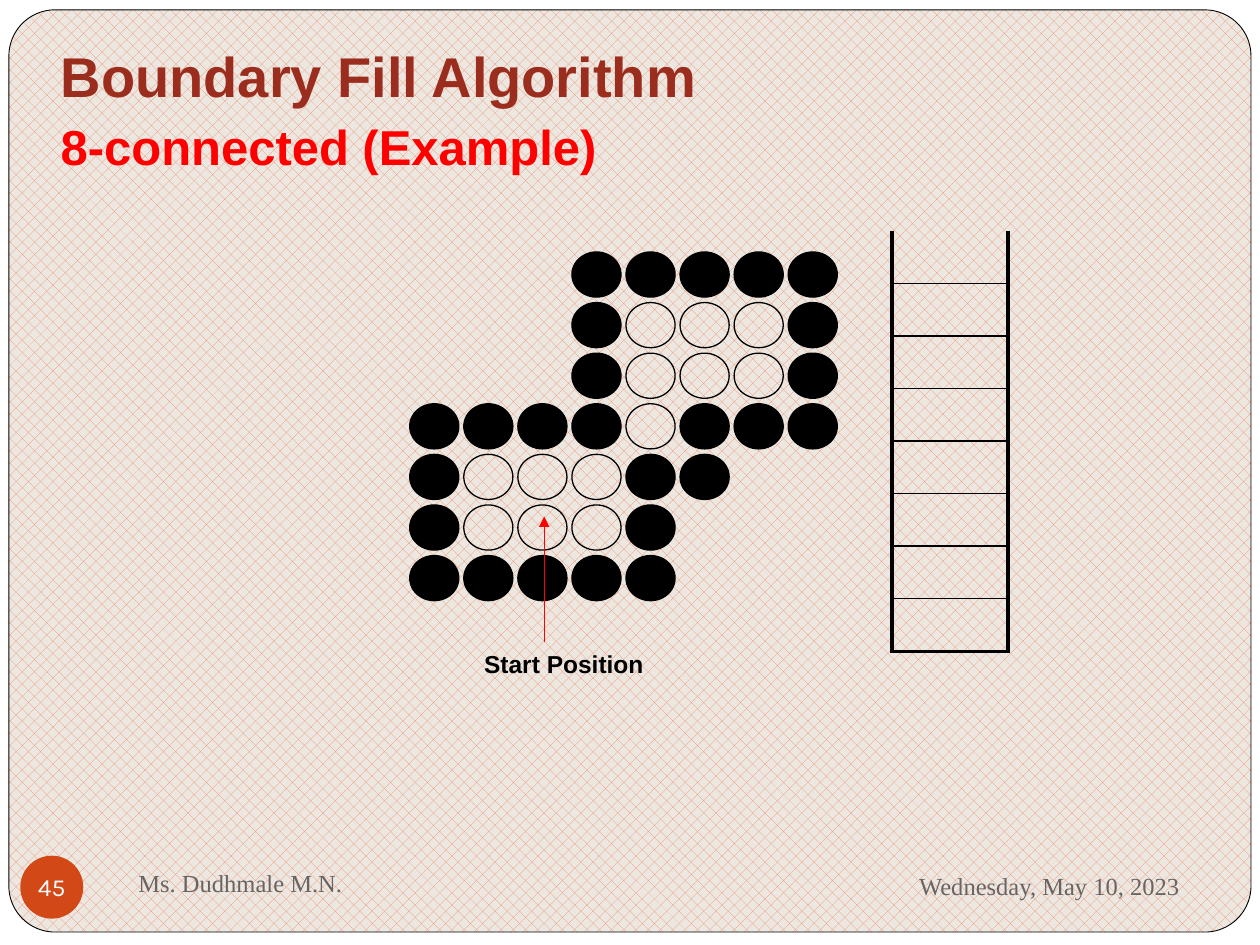
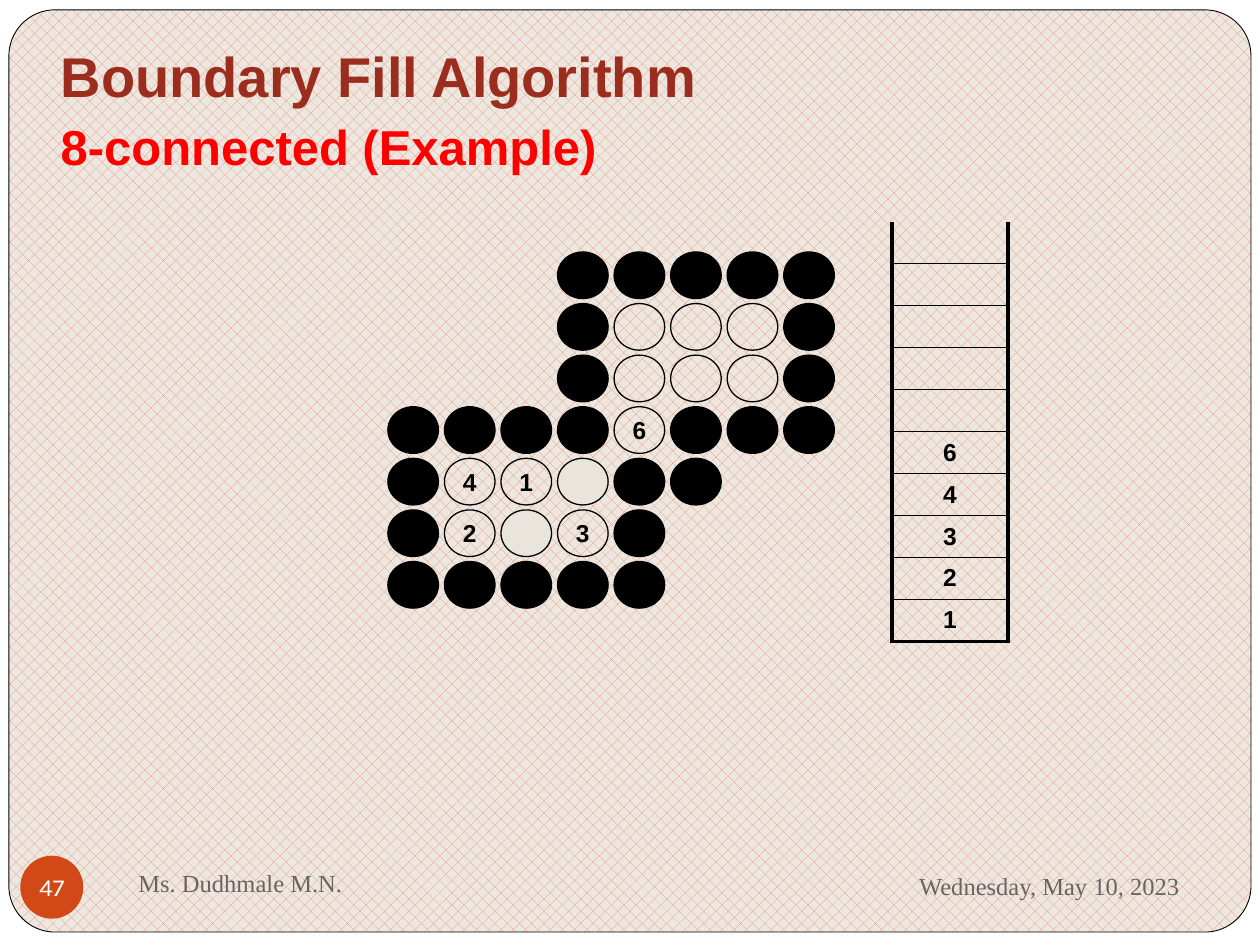
from dataclasses import dataclass
from typing import Any, Optional

from lxml.etree import SubElement
from pptx import Presentation
from pptx.dml.color import RGBColor
from pptx.enum.dml import MSO_PATTERN
from pptx.enum.shapes import MSO_CONNECTOR, MSO_SHAPE
from pptx.enum.text import MSO_ANCHOR, MSO_AUTO_SIZE, PP_ALIGN
from pptx.oxml import parse_xml
from pptx.oxml.ns import nsdecls, qn
from pptx.util import Cm, Pt


@dataclass(frozen=True)
class Theme:
    paper: str = "ECE8E1"
    hatch: str = "EF8C6A"
    white: str = "FFFFFF"
    black: str = "000000"
    heading: str = "9B2D1F"
    accent: str = "FF0000"
    badge: str = "D34817"
    footer: str = "696464"
    visited: str = "E9E5DC"
    title_size: int = 32
    subtitle_size: int = 28
    text_size: int = 14
    sans: str = "Arial"
    serif: str = "Times New Roman"
    number: str = "Karla"
    thin: float = 0.75
    rule: float = 1
    thick: float = 2.25


@dataclass(frozen=True)
class Box:
    left: float
    top: float
    width: float
    height: float

    def lengths(self) -> tuple:
        return tuple(Cm(value) for value in (self.left, self.top, self.width, self.height))


@dataclass(frozen=True)
class PixelGrid:
    first: Box
    column_step: float
    row_step: float
    rows: tuple[str, ...]


@dataclass(frozen=True)
class Stack:
    box: Box
    values: tuple[str, ...]


@dataclass(frozen=True)
class Example:
    number: str
    grid: PixelGrid
    stack: Stack
    show_start: bool = False


THEME = Theme()
BOUNDARY, EMPTY, VISITED, OUTSIDE = "#o*."
NO_STYLE_TABLE = "{2D5ABB26-0587-4C30-8999-92F81FD0307C}"
NO_MARGINS = dict.fromkeys(("margin_left", "margin_top", "margin_right", "margin_bottom"), 0)
PLAIN = {"name": THEME.sans, "size": Pt(THEME.text_size), "bold": True}
FOOTER = {**PLAIN, "name": THEME.serif, "bold": False}
BADGE = {**PLAIN, "name": THEME.number, "bold": False}

UPPER_ROWS = ("...#####", "...#ooo#", "...#ooo#")
EXAMPLES = (
    Example(
        "45",
        PixelGrid(Box(8.26, 5.08, 0.99, 0.91), 1.09, 1.02,
                  UPPER_ROWS + ("####o###", "#ooo##..", "#ooo#...", "#####...")),
        Stack(Box(17.98, 4.65, 2.34, 8.48), ("",) * 8),
        show_start=True,
    ),
    Example(
        "47",
        PixelGrid(Box(7.82, 5.08, 1.02, 0.94), 1.14, 1.04,
                  UPPER_ROWS + ("####6###", "#41*##..", "#2*3#...", "#####...")),
        Stack(Box(17.98, 4.47, 2.34, 8.46), ("",) * 5 + tuple("64321")),
    ),
)


def apply(target: Any, values: dict[str, Any]) -> None:
    for name, value in values.items():
        setattr(target, name, value)


def add_text(paragraph: Any, text: str, font: dict[str, Any], color: str,
             alignment: PP_ALIGN = PP_ALIGN.CENTER) -> None:
    paragraph.alignment = alignment
    run = paragraph.add_run()
    run.text = text
    apply(run.font, font)
    run.font.color.rgb = RGBColor.from_string(color)


def add_textbox(shapes: Any, box: Box, text: str, font: dict[str, Any], color: str,
                alignment: PP_ALIGN, anchor: MSO_ANCHOR = MSO_ANCHOR.MIDDLE) -> None:
    frame = shapes.add_textbox(*box.lengths()).text_frame
    apply(frame, {"word_wrap": True, "vertical_anchor": anchor})
    add_text(frame.paragraphs[0], text, font, color, alignment)


def add_filled(shapes: Any, kind: MSO_SHAPE, box: Box, fill: Optional[str],
               line: Optional[float] = None) -> Any:
    shape = shapes.add_shape(kind, *box.lengths())
    shape.shadow.inherit = False
    if fill:
        shape.fill.solid()
        shape.fill.fore_color.rgb = RGBColor.from_string(fill)
    else:
        shape.fill.background()
    if line:
        shape.line.color.rgb = RGBColor.from_string(THEME.black)
        shape.line.width = Pt(line)
    else:
        shape.line.fill.background()
    return shape


def label_circle(circle: Any, text: str, font: dict[str, Any], color: str) -> None:
    frame = circle.text_frame
    apply(frame, {**NO_MARGINS, "word_wrap": False, "vertical_anchor": MSO_ANCHOR.MIDDLE})
    add_text(frame.paragraphs[0], text, font, color)


def hatch(fill: Any) -> None:
    fill.patterned()
    fill.pattern = MSO_PATTERN.PERCENT_30
    fill.fore_color.rgb = RGBColor.from_string(THEME.hatch)
    fill.back_color.rgb = RGBColor.from_string(THEME.paper)


def decorate_layout(layout: Any, slide: Any) -> None:
    hatch(layout.background.fill)
    page = add_filled(slide.shapes, MSO_SHAPE.RECTANGLE, Box(0, 0, 25.4, 19.05), THEME.white)
    card = add_filled(slide.shapes, MSO_SHAPE.ROUNDED_RECTANGLE,
                      Box(0.18, 0.2, 25.04, 18.59), None, 0.5)
    card.adjustments[0] = 0.05
    hatch(card.fill)
    for index, shape in enumerate((page, card), start=2):
        layout.shapes._spTree.insert(index, shape._element)


def add_title(slide: Any) -> None:
    title = slide.shapes.title
    apply(title, dict(zip(("left", "top", "width", "height"),
                          Box(0.97, 0.64, 23.5, 2.97).lengths())))
    frame = title.text_frame
    apply(frame, {"auto_size": MSO_AUTO_SIZE.NONE, "word_wrap": True,
                  "vertical_anchor": MSO_ANCHOR.TOP})
    heading, subtitle = frame.paragraphs[0], frame.add_paragraph()
    lines = (
        (heading, "Boundary Fill Algorithm", THEME.title_size, THEME.heading),
        (subtitle, "8-connected (Example)", THEME.subtitle_size, THEME.accent),
    )
    for paragraph, text, size, color in lines:
        paragraph.line_spacing = 1.05
        add_text(paragraph, text, {**PLAIN, "size": Pt(size)}, color, PP_ALIGN.LEFT)
    subtitle.space_before = Pt(3)


def add_footers(slide: Any, number: str) -> None:
    add_textbox(slide.shapes, Box(2.54, 17.15, 11, 1.27), "Ms. Dudhmale M.N.",
                FOOTER, THEME.footer, PP_ALIGN.LEFT)
    add_textbox(slide.shapes, Box(17.15, 17.2, 6.88, 1.32), "Wednesday, May 10, 2023",
                FOOTER, THEME.footer, PP_ALIGN.RIGHT)
    badge = add_filled(slide.shapes, MSO_SHAPE.OVAL, Box(0.41, 17.25, 1.27, 1.27), THEME.badge)
    label_circle(badge, number, BADGE, THEME.white)


def set_borders(cell: Any, widths: dict[str, float]) -> None:
    properties = cell._tc.get_or_add_tcPr()
    for index, (side, width) in enumerate(widths.items()):
        paint = (f'<a:solidFill><a:srgbClr val="{THEME.black}"/></a:solidFill>'
                 if width else "<a:noFill/>")
        properties.insert(index, parse_xml(
            f'<a:ln{side} {nsdecls("a")} w="{Pt(width)}">{paint}</a:ln{side}>'))


def add_stack(slide: Any, stack: Stack) -> None:
    count = len(stack.values)
    table = slide.shapes.add_table(count, 1, *stack.box.lengths()).table
    apply(table, {"first_row": False, "horz_banding": False})
    table._tbl.tblPr.find(qn("a:tableStyleId")).text = NO_STYLE_TABLE
    for index, value in enumerate(stack.values):
        table.rows[index].height = Cm(stack.box.height / count)
        cell = table.cell(index, 0)
        apply(cell, {**NO_MARGINS, "vertical_anchor": MSO_ANCHOR.MIDDLE})
        cell.fill.background()
        set_borders(cell, {
            "L": THEME.thick,
            "R": THEME.thick,
            "T": THEME.rule if index else 0,
            "B": THEME.thick if index == count - 1 else THEME.rule,
        })
        if value:
            add_text(cell.text_frame.paragraphs[0], value, PLAIN, THEME.black)


def add_pixels(shapes: Any, grid: PixelGrid) -> None:
    fills = {BOUNDARY: THEME.black, VISITED: THEME.visited}
    first = grid.first
    for row, marks in enumerate(grid.rows):
        for column, mark in enumerate(marks):
            if mark == OUTSIDE:
                continue
            box = Box(first.left + column * grid.column_step,
                      first.top + row * grid.row_step, first.width, first.height)
            pixel = add_filled(shapes, MSO_SHAPE.OVAL, box, fills.get(mark), THEME.thin)
            if mark.isdigit():
                label_circle(pixel, mark, PLAIN, THEME.black)


def add_start_marker(shapes: Any) -> None:
    add_textbox(shapes, Box(8.79, 12.95, 5.16, 1.02), "Start Position",
                PLAIN, THEME.black, PP_ALIGN.CENTER, MSO_ANCHOR.TOP)
    arrow = shapes.add_connector(MSO_CONNECTOR.STRAIGHT,
                                 Cm(10.97), Cm(12.95), Cm(10.97), Cm(10.41))
    arrow.line.color.rgb = RGBColor.from_string(THEME.accent)
    arrow.line.width = Pt(THEME.thin)
    SubElement(arrow.line._get_or_add_ln(), qn("a:tailEnd"), type="triangle")
    SubElement(arrow._element.spPr, qn("a:effectLst"))


def add_example(slide: Any, example: Example) -> None:
    add_title(slide)
    add_footers(slide, example.number)
    add_stack(slide, example.stack)
    diagram = slide.shapes.add_group_shape()
    add_pixels(diagram.shapes, example.grid)
    if example.show_start:
        add_start_marker(diagram.shapes)


def main() -> None:
    presentation = Presentation()
    apply(presentation, {"slide_width": Cm(25.4), "slide_height": Cm(19.05)})
    layout = presentation.slide_layouts[5]
    slides = [presentation.slides.add_slide(layout) for _ in EXAMPLES]
    decorate_layout(layout, slides[0])
    for slide, example in zip(slides, EXAMPLES):
        add_example(slide, example)
    presentation.save("out.pptx")


if __name__ == "__main__":
    main()
